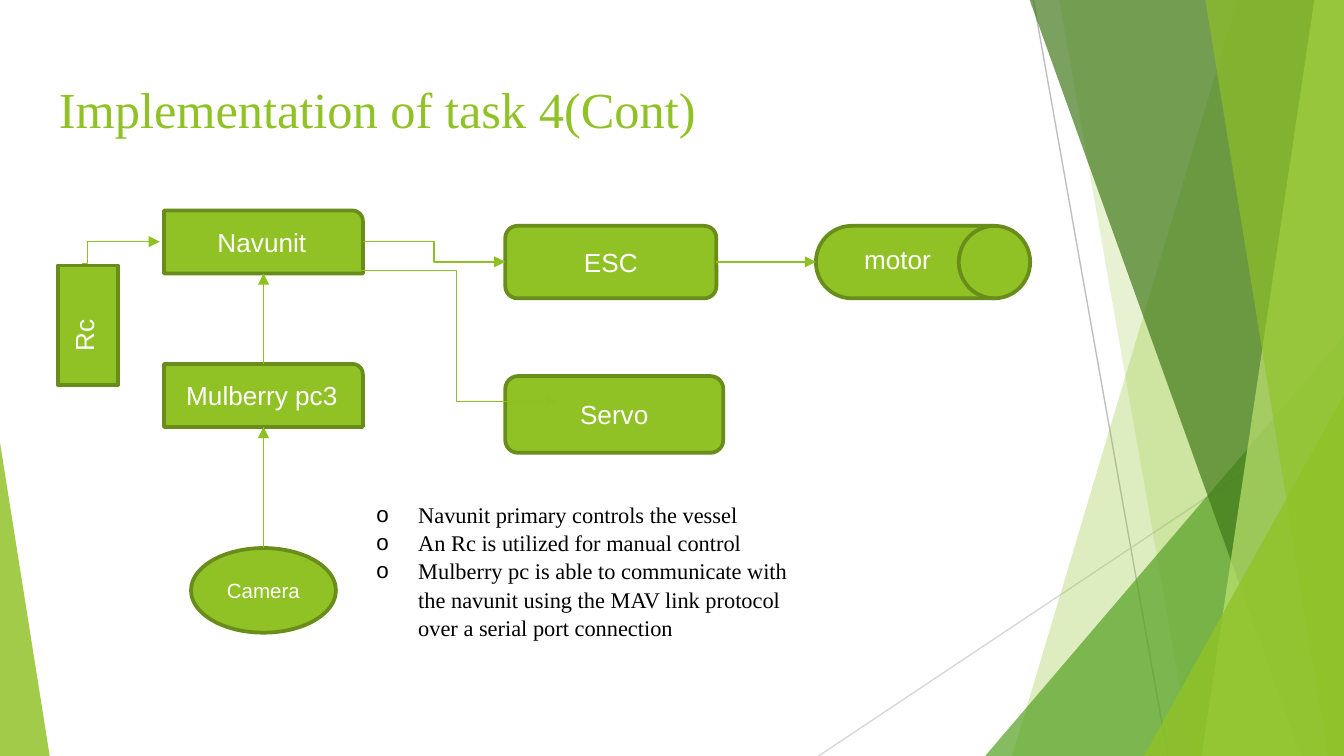
import pptx
import pptx.dml.color
import pptx.enum.shapes
import pptx.enum.text
import pptx.oxml
import pptx.oxml.ns
import pptx.util
import lxml.etree

Cm, Pt = pptx.util.Cm, pptx.util.Pt
Color = pptx.dml.color.RGBColor.from_string
Kind = pptx.enum.shapes.MSO_SHAPE
Wire = pptx.enum.shapes.MSO_CONNECTOR
Align = pptx.enum.text.PP_ALIGN
Anchor = pptx.enum.text.MSO_ANCHOR
Fit = pptx.enum.text.MSO_AUTO_SIZE
qn = pptx.oxml.ns.qn


class Theme:
    green, edge, link = "90C226", "698D1B", "8DC021"
    leaf, pine, lime = "54A021", "3F7818", "BFE471"
    grey, pale = "BFBFBF", "D8D8D8"
    white, black = "FFFFFF", "000000"
    serif, sans = "Times New Roman", "Arial"
    title, box, small, list = Pt(27), Pt(14), Pt(11), Pt(12)
    thin, thick = Pt(0.75), Pt(2)


def paint(shape, color, alpha=100):
    shape.shadow.inherit = False
    shape.fill.solid()
    shape.fill.fore_color.rgb = Color(color)
    if alpha < 100:
        tone = shape._element.spPr.find(".//" + qn("a:srgbClr"))
        lxml.etree.SubElement(tone, qn("a:alpha"), val=str(alpha * 1000))
    shape.line.fill.background()


def join(kind, ends, color, arrow=True, bend=None):
    wire = slide.shapes.add_connector(kind, *map(Cm, ends))
    wire.line.color.rgb = Color(color)
    wire.line.width = Theme.thin
    props = wire._element.spPr
    if arrow:
        lxml.etree.SubElement(props.find(qn("a:ln")), qn("a:tailEnd"), type="triangle")
    if bend is not None:
        guides = props.find(qn("a:prstGeom")).find(qn("a:avLst"))
        lxml.etree.SubElement(guides, qn("a:gd"), name="adj1", fmla=f"val {bend}")
    lxml.etree.SubElement(props, qn("a:effectLst"))


deck = pptx.Presentation()
wide, high = 25.4, 14.29
deck.slide_width, deck.slide_height = Cm(wide), Cm(high)
slide = deck.slides.add_slide(deck.slide_layouts[1])

# Backdrop lines
join(Wire.STRAIGHT, (19.53, 0, 22.07, high), Theme.grey, arrow=False)
join(Wire.STRAIGHT, (wide, 7.67, 15.47, high), Theme.pale, arrow=False)

# Backdrop facets: bands give top and bottom x, triangles a frame and apex
facets = [
    ((23.39, 19.13), Theme.green, 29),
    ((20.02, 22.53), Theme.green, 20),
    ((18.62, 6.35, 6.78, 7.94, 1), Theme.leaf, 71),
    ((19.46, 24.59), Theme.pine, 69),
    ((24.84, 22.71), Theme.lime, 69),
    ((22.78, 25.1), Theme.green, 64),
    ((21.62, 7.47, 3.78, 6.82, 1), Theme.green, 80),
    ((0, 8.36, 0.94, 5.93, 0), Theme.green, 84),
]
for form, color, alpha in facets:
    if len(form) == 2:
        top, base = form
        pen = slide.shapes.build_freeform(Cm(top), 0)
        pen.add_line_segments([(Cm(wide), 0), (Cm(wide), Cm(high)), (Cm(base), Cm(high))])
        facet = pen.convert_to_shape()
    else:
        *frame, apex = form
        facet = slide.shapes.add_shape(Kind.ISOSCELES_TRIANGLE, *map(Cm, frame))
        facet.adjustments[0] = apex
    paint(facet, color, alpha)

# Title
title = slide.shapes.title
title.left, title.top, title.width, title.height = map(Cm, (0.86, 1.24, 23.67, 1.6))
frame = title.text_frame
frame.text = "Implementation of task 4(Cont)"
frame.auto_size = Fit.NONE
frame.vertical_anchor = Anchor.MIDDLE
frame.paragraphs[0].alignment = Align.LEFT
font = frame.paragraphs[0].runs[0].font
font.name, font.size = Theme.serif, Theme.title
font.color.rgb = Color(Theme.green)

# Boxes and loose labels (no kind)
parts = [
    (Kind.ROUND_1_RECTANGLE, (3.1, 3.98, 3.76, 1.19), "Navunit", Theme.box),
    (Kind.ROUNDED_RECTANGLE, (9.55, 4.27, 3.99, 1.37), "ESC", Theme.box),
    (Kind.FLOWCHART_DIRECT_ACCESS_STORAGE, (15.42, 4.27, 4.05, 1.37), "", Theme.box),
    (Kind.ROUNDED_RECTANGLE, (9.55, 7.11, 4.12, 1.45), "Servo", Theme.box),
    (None, (16.08, 4.47, 2.84, 0.86), "motor", Theme.box),
    (Kind.RECTANGLE, (1.09, 5.02, 1.14, 2.26), "", Theme.box),
    (None, (0.61, 5.49, 1.96, 0.86), "Rc", Theme.box),
    (Kind.ROUND_1_RECTANGLE, (3.1, 6.88, 3.76, 1.19), "Mulberry pc3", Theme.box),
    (Kind.OVAL, (3.61, 10.36, 2.74, 1.6), "Camera", Theme.small),
]
for kind, place, text, size in parts:
    if kind is None:
        part = slide.shapes.add_textbox(*map(Cm, place))
        part.rotation = 270 if text == "Rc" else 0
    else:
        part = slide.shapes.add_shape(kind, *map(Cm, place))
        paint(part, Theme.green)
        part.line.color.rgb = Color(Theme.edge)
        part.line.width = Theme.thick
    if text:
        frame = part.text_frame
        frame.text = text
        frame.word_wrap = True
        frame.vertical_anchor = Anchor.MIDDLE if kind else Anchor.TOP
        frame.paragraphs[0].alignment = Align.CENTER if kind else Align.LEFT
        font = frame.paragraphs[0].runs[0].font
        font.name, font.size = Theme.sans, size
        font.color.rgb = Color(Theme.white)

# Arrows between the boxes
links = [
    (Wire.ELBOW, (6.86, 4.57, 9.55, 4.95), 50000),
    (Wire.STRAIGHT, (13.54, 4.95, 15.42, 4.95), None),
    (Wire.ELBOW, (1.55, 4.98, 3.02, 4.57), 7200),
    (Wire.STRAIGHT, (4.98, 10.36, 4.98, 8.07), None),
    (Wire.STRAIGHT, (4.98, 6.88, 4.98, 5.17), None),
    (Wire.ELBOW, (6.73, 5.11, 10.52, 7.59), 50000),
]
for kind, ends, bend in links:
    join(kind, ends, Theme.link, bend=bend)

# Notes list
body = slide.placeholders[1]
body.left, body.top, body.width, body.height = map(Cm, (6.86, 9.32, 8.74, 3.28))
frame = body.text_frame
frame.text = "\n".join([
    "Navunit primary controls the vessel",
    "An Rc is utilized for manual control",
    "Mulberry pc is able to communicate with the navunit using the MAV link protocol "
    "over a serial port connection",
])
frame.auto_size = Fit.NONE
for item in frame.paragraphs:
    props = item._p.get_or_add_pPr()
    props.set("marL", str(Cm(0.79)))
    props.set("indent", str(-Cm(0.79)))
    tint = lxml.etree.SubElement(props, qn("a:buClr"))
    lxml.etree.SubElement(tint, qn("a:srgbClr"), val=Theme.black)
    lxml.etree.SubElement(props, qn("a:buFont"), typeface=Theme.sans)
    lxml.etree.SubElement(props, qn("a:buChar"), char="o")
    item.space_before = Pt(0)
    item.line_spacing = 1.05
    font = item.runs[0].font
    font.name, font.size = Theme.serif, Theme.list
    font.color.rgb = Color(Theme.black)

deck.save("out.pptx")
